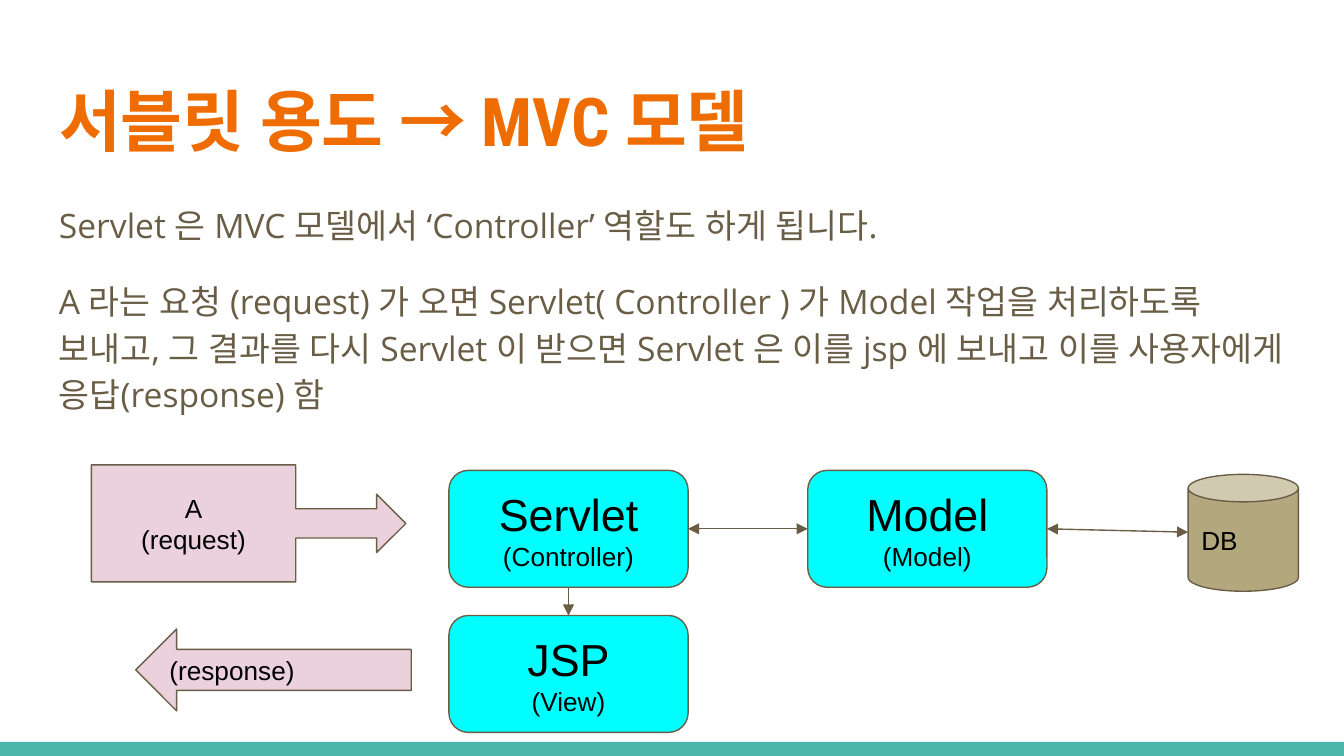
from dataclasses import dataclass

from lxml import etree
from pptx import Presentation
from pptx.dml.color import RGBColor
from pptx.enum import shapes, text
from pptx.oxml import ns
from pptx.util import Inches, Pt


@dataclass(frozen=True)
class Theme:
    title: str = "EF6C00"
    ink: str = "695D46"
    label: str = "000000"
    component: str = "00FFFF"
    message: str = "EAD1DC"
    database: str = "B3A77D"
    footer: str = "4DB6AC"
    title_font: str = "Roboto Condensed"
    body_font: str = "Open Sans"
    label_font: str = "Arial"
    title_size: int = 36
    body_size: int = 18
    name_size: int = 24
    label_size: int = 14
    outline: float = 0.75


THEME = Theme()
SHAPE = shapes.MSO_SHAPE
TOP, LEFT, BOTTOM, RIGHT = range(4)
COMPONENT_SIZE = (1.78, 0.87)


def rgb(value):
    return RGBColor.from_string(value)


def box(left, top, width, height):
    return [Inches(v) for v in (left, top, width, height)]


def set_frame(frame, anchor):
    frame.word_wrap = True
    frame.auto_size = text.MSO_AUTO_SIZE.NONE
    frame.vertical_anchor = anchor
    frame.margin_left = frame.margin_right = Inches(0.1)
    frame.margin_top = frame.margin_bottom = Inches(0.1)


def style_text(paragraph, font, size, color, align=text.PP_ALIGN.LEFT, bold=False):
    paragraph.alignment = align
    for run in paragraph.runs:
        run.font.name = font
        run.font.size = Pt(size)
        run.font.bold = bold
        run.font.color.rgb = rgb(color)
        # The same typeface for Korean and complex scripts
        for tag in ("ea", "cs"):
            etree.SubElement(run.font._element, ns.qn(f"a:{tag}"), typeface=font)


def add_title(slide, wording):
    title = slide.shapes.title
    title.left, title.top, title.width, title.height = box(0.34, 0.49, 9.32, 0.77)
    title.text_frame.text = wording
    set_frame(title.text_frame, text.MSO_ANCHOR.TOP)
    style_text(title.text_frame.paragraphs[0], THEME.title_font,
               THEME.title_size, THEME.title, bold=True)


def add_body(slide, paragraphs):
    body = slide.shapes.add_textbox(*box(0.34, 1.38, 9.32, 0.61))
    frame = body.text_frame
    frame.text = "\n".join(paragraphs)
    set_frame(frame, text.MSO_ANCHOR.TOP)
    for index, paragraph in enumerate(frame.paragraphs):
        paragraph.line_spacing = 1.15
        if index:
            paragraph.space_before = paragraph.space_after = Pt(16)
        style_text(paragraph, THEME.body_font, THEME.body_size, THEME.ink)


def add_footer(slide):
    footer = slide.shapes.add_shape(SHAPE.RECTANGLE, *box(0, 5.52, 10, 0.11))
    footer.shadow.inherit = False
    footer.fill.solid()
    footer.fill.fore_color.rgb = rgb(THEME.footer)
    footer.line.fill.background()


def add_node(slide, kind, place, fill, lines, sizes=None, align=text.PP_ALIGN.CENTER):
    """Add an outlined diagram shape with its label lines."""
    node = slide.shapes.add_shape(kind, *box(*place))
    node.shadow.inherit = False
    node.fill.solid()
    node.fill.fore_color.rgb = rgb(fill)
    node.line.color.rgb = rgb(THEME.ink)
    node.line.width = Pt(THEME.outline)
    frame = node.text_frame
    frame.text = "\n".join(lines)
    set_frame(frame, text.MSO_ANCHOR.MIDDLE)
    for paragraph, size in zip(frame.paragraphs, sizes or [THEME.label_size] * len(lines)):
        style_text(paragraph, THEME.label_font, size, THEME.label, align)
    return node


def add_component(slide, left, top, name, role):
    return add_node(slide, SHAPE.ROUNDED_RECTANGLE, (left, top, *COMPONENT_SIZE),
                    THEME.component, (name, role), (THEME.name_size, THEME.label_size))


def add_arrow(slide, start, end, ends=("headEnd", "tailEnd")):
    """Add a thin line with triangles at the given ends."""
    arrow = slide.shapes.add_connector(
        shapes.MSO_CONNECTOR.STRAIGHT, *[Inches(v) for v in (*start, *end)])
    arrow.line.color.rgb = rgb(THEME.ink)
    arrow.line.width = Pt(THEME.outline)
    outline = arrow.line._get_or_add_ln()
    for tag in ends:
        etree.SubElement(outline, ns.qn(f"a:{tag}"), type="triangle", w="med", len="med")
    etree.SubElement(arrow._element.spPr, ns.qn("a:effectLst"))
    return arrow


def add_diagram(slide):
    # MVC components and database
    servlet = add_component(slide, 3.34, 3.5, "Servlet", "(Controller)")
    model = add_component(slide, 6.01, 3.5, "Model", "(Model)")
    jsp = add_component(slide, 3.34, 4.58, "JSP", "(View)")
    add_node(slide, SHAPE.CAN, (8.84, 3.53, 0.82, 0.87), THEME.database,
             ["DB"], align=text.PP_ALIGN.LEFT)

    # Request and response
    request = add_node(slide, SHAPE.RIGHT_ARROW_CALLOUT, (0.68, 3.46, 2.34, 0.87),
                       THEME.message, ("A", "(request)"))
    request.adjustments[3] = 0.65
    add_node(slide, SHAPE.LEFT_ARROW, (1.01, 4.68, 2.05, 0.61), THEME.message,
             ["(response)"], align=text.PP_ALIGN.LEFT)

    # Flow between the parts
    model_database = add_arrow(slide, (7.79, 3.93), (8.84, 3.96))
    model_database.begin_connect(model, RIGHT)
    servlet_model = add_arrow(slide, (5.12, 3.93), (6.01, 3.93))
    servlet_model.begin_connect(servlet, RIGHT)
    servlet_model.end_connect(model, LEFT)
    servlet_jsp = add_arrow(slide, (4.23, 4.37), (4.23, 4.58), ["tailEnd"])
    servlet_jsp.begin_connect(servlet, BOTTOM)
    servlet_jsp.end_connect(jsp, TOP)


def main():
    deck = Presentation()
    # Widescreen, 16:9
    deck.slide_width = Inches(10)
    deck.slide_height = deck.slide_width * 9 // 16
    slide = deck.slides.add_slide(deck.slide_layouts.get_by_name("Title Only"))
    add_footer(slide)
    add_title(slide, "서블릿 용도 → MVC 모델")
    add_body(slide, [
        "Servlet 은 MVC 모델에서 ‘Controller’ 역할도 하게 됩니다.",
        "A 라는 요청 (request) 가 오면 Servlet( Controller ) 가 Model 작업을 "
        "처리하도록 보내고, 그 결과를 다시 Servlet 이 받으면 Servlet 은 이를 jsp 에 "
        "보내고 이를 사용자에게 응답(response) 함",
    ])
    add_diagram(slide)
    deck.save("out.pptx")


if __name__ == "__main__":
    main()
